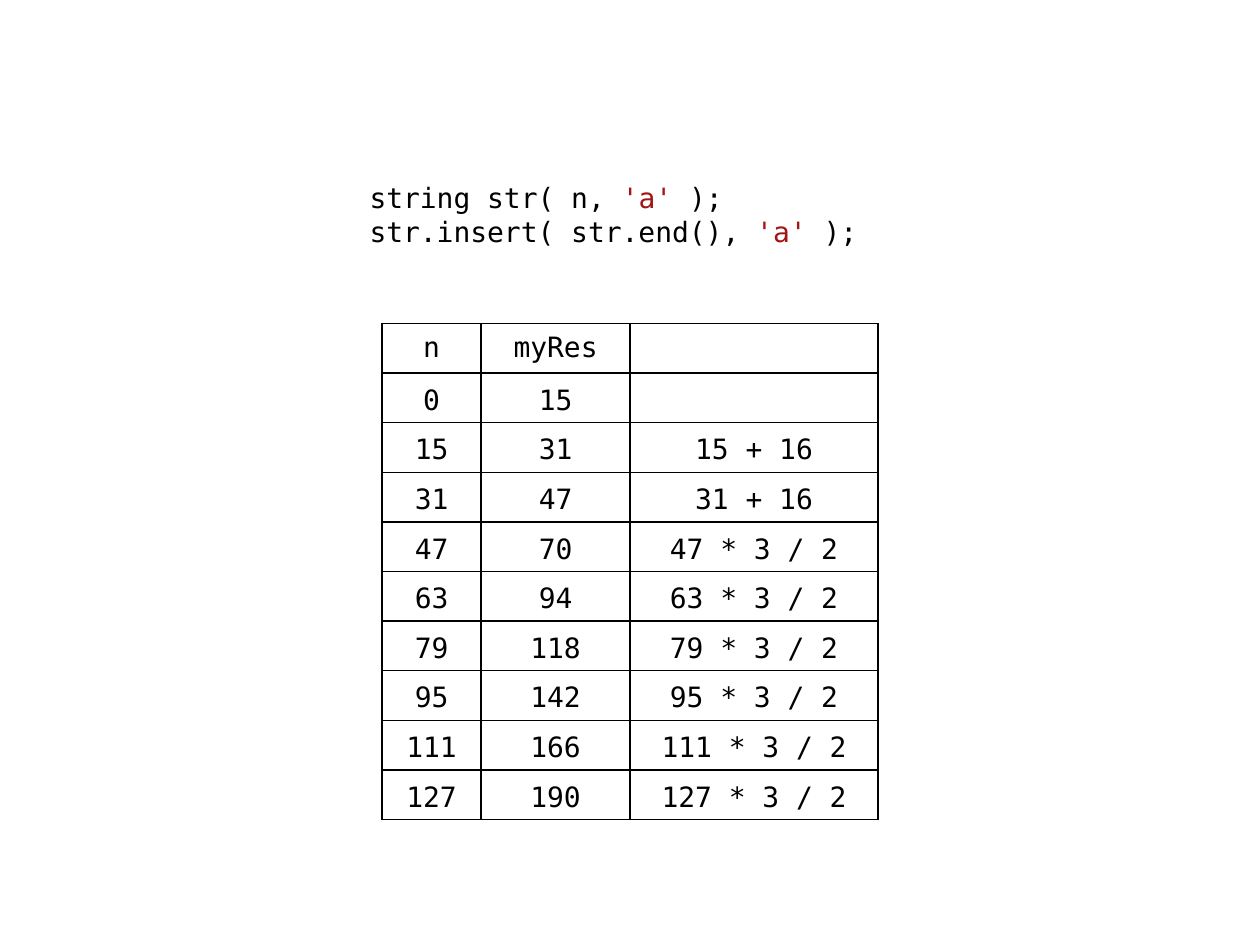
from dataclasses import dataclass

from lxml.etree import SubElement
from pptx import Presentation
from pptx.dml.color import RGBColor
from pptx.enum.text import MSO_ANCHOR, PP_ALIGN
from pptx.oxml.ns import qn
from pptx.util import Cm, Pt


@dataclass(frozen=True)
class Theme:
    font: str = "DejaVu Sans Mono"
    size: int = 16
    text: str = "000000"
    literal: str = "A31515"
    border: str = "000000"
    border_width: int = 1


THEME = Theme()

# Each code line is a list of (text, colour) pieces.
CODE_LINES = [
    [("string str( n, ", THEME.text), ("'a' ", THEME.literal), (");", THEME.text)],
    [("str.insert( str.end(), ", THEME.text), ("'a' ", THEME.literal), (");", THEME.text)],
]
CAPACITY_ROWS = [
    ("n", "myRes", ""),
    ("0", "15", ""),
    ("15", "31", "15 + 16"),
    ("31", "47", "31 + 16"),
    ("47", "70", "47 * 3 / 2"),
    ("63", "94", "63 * 3 / 2"),
    ("79", "118", "79 * 3 / 2"),
    ("95", "142", "95 * 3 / 2"),
    ("111", "166", "111 * 3 / 2"),
    ("127", "190", "127 * 3 / 2"),
]
COLUMN_WIDTHS = [Cm(2), Cm(3), Cm(5)]
ROW_HEIGHT = Cm(1)
TABLE_TOP = Cm(6.52)


def set_font(font):
    font.name = THEME.font
    font.size = Pt(THEME.size)


def add_code(slide):
    box = slide.shapes.add_textbox(Cm(7.2), Cm(3.52), Cm(11), Cm(2))
    frame = box.text_frame
    frame.word_wrap = True
    for index, pieces in enumerate(CODE_LINES):
        paragraph = frame.add_paragraph() if index else frame.paragraphs[0]
        set_font(paragraph.font)
        for text, colour in pieces:
            run = paragraph.add_run()
            run.text = text
            run.font.color.rgb = RGBColor.from_string(colour)


def add_borders(cell):
    properties = cell._tc.get_or_add_tcPr()
    for position, side in enumerate(("lnL", "lnR", "lnT", "lnB")):
        line = properties.makeelement(qn(f"a:{side}"), {"w": str(Pt(THEME.border_width))})
        fill = SubElement(line, qn("a:solidFill"))
        SubElement(fill, qn("a:srgbClr"), val=THEME.border)
        properties.insert(position, line)


def format_cell(cell, text, anchor):
    cell.text = text
    cell.vertical_anchor = anchor
    cell.margin_top, cell.margin_bottom = Cm(0.1), Cm(0.12)
    cell.fill.background()
    paragraph = cell.text_frame.paragraphs[0]
    paragraph.alignment = PP_ALIGN.CENTER
    set_font(paragraph.font)
    paragraph.font.color.rgb = RGBColor.from_string(THEME.text)
    add_borders(cell)


def add_capacity_table(slide, slide_width):
    width = sum(COLUMN_WIDTHS)
    row_count = len(CAPACITY_ROWS)
    table = slide.shapes.add_table(
        row_count, len(COLUMN_WIDTHS),
        (slide_width - width) // 2, TABLE_TOP, width, ROW_HEIGHT * row_count,
    ).table
    table.first_row = table.horz_banding = False
    for column, column_width in zip(table.columns, COLUMN_WIDTHS):
        column.width = column_width
    for row_index, (row, values) in enumerate(zip(table.rows, CAPACITY_ROWS)):
        row.height = ROW_HEIGHT
        anchor = MSO_ANCHOR.BOTTOM if row_index else MSO_ANCHOR.MIDDLE
        for cell, text in zip(row.cells, values):
            format_cell(cell, text, anchor)


def main():
    presentation = Presentation()
    presentation.slide_width, presentation.slide_height = Cm(25.4), Cm(19.05)
    blank_layout = presentation.slide_layouts[6]
    slide = presentation.slides.add_slide(blank_layout)
    add_code(slide)
    add_capacity_table(slide, presentation.slide_width)
    presentation.save("out.pptx")


if __name__ == "__main__":
    main()
